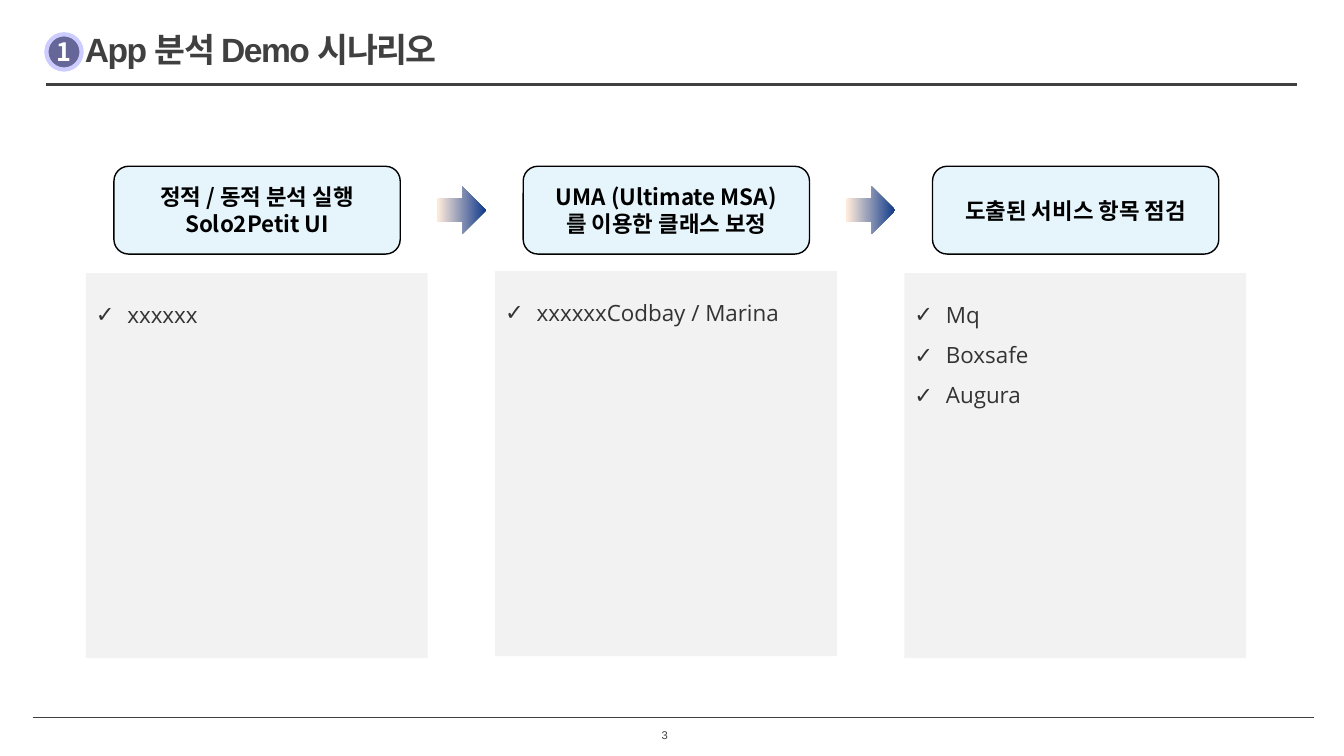
from dataclasses import dataclass

from lxml import etree
from pptx import Presentation
from pptx.dml import color
from pptx.enum import shapes, text
from pptx.oxml import ns
from pptx.util import Pt


@dataclass(frozen=True)
class Theme:
    ink: str = "404040"
    black: str = "000000"
    white: str = "FFFFFF"
    item: str = "333333"
    head: str = "E6F5FC"
    panel: str = "F2F2F2"
    badge: str = "666699"
    ring: str = "CCCCFF"
    fade: tuple = ((0.03, "FDEADA"), (0.98, "153D8D"))
    latin: str = "Arial"
    hangul: str = "Noto Sans CJK KR"
    bold: str = "Noto Sans CJK JP"
    plain: str = "Open Sans"
    title: int = 24
    mark: int = 18
    body: int = 16
    small: int = 8


T = Theme()
KIND = shapes.MSO_SHAPE
ALIGN = text.PP_ALIGN
ANCHOR = text.MSO_ANCHOR

# Each step: heading lines, panel top, list items
STEPS = [
    (["정적 / 동적 분석 실행", "Solo2Petit UI"], 195.1, ["xxxxxx"]),
    (["UMA (Ultimate MSA)", "를 이용한 클래스 보정"], 193.7, ["xxxxxxCodbay / Marina"]),
    (["도출된 서비스 항목 점검"], 195.1, ["Mq", "Boxsafe", "Augura"]),
]
PITCH = 292.35


def rgb(code):
    return color.RGBColor.from_string(code)


def place(shape, left, top, width, height):
    shape.left, shape.top = Pt(left), Pt(top)
    shape.width, shape.height = Pt(width), Pt(height)


def write(shape, lines, size, ink, face, asian=None, bold=False, align=ALIGN.CENTER,
          anchor=ANCHOR.MIDDLE, inset=(0, 0, 0, 0), wrap=True, after=0, lead=1,
          track=0, bullet=None):
    """Fill a shape with one paragraph per line."""
    frame = shape.text_frame
    frame.text = "\n".join(lines)
    frame.auto_size = text.MSO_AUTO_SIZE.NONE
    frame.word_wrap = wrap
    frame.vertical_anchor = anchor
    frame.margin_left, frame.margin_top, frame.margin_right, frame.margin_bottom = map(Pt, inset)
    for para in frame.paragraphs:
        para.alignment = align
        para.space_before, para.space_after = Pt(0), Pt(after)
        para.line_spacing = lead
        if bullet:
            props = para._p.get_or_add_pPr()
            props.set("marL", str(Pt(22.5)))
            props.set("indent", str(Pt(-22.5)))
            etree.SubElement(props, ns.qn("a:buFont"), typeface=face)
            etree.SubElement(props, ns.qn("a:buChar"), char=bullet)
        for run in para.runs:
            font = run.font
            font.name, font.size, font.bold = face, Pt(size), bold
            font.color.rgb = rgb(ink)
            props = run._r.get_or_add_rPr()
            etree.SubElement(props, ns.qn("a:ea"), typeface=asian or face)
            if track:
                props.set("spc", str(round(track * 100)))


def shape(slide, kind, box, fill=None, line=None, weight=1):
    item = slide.shapes.add_shape(kind, *map(Pt, box))
    item.shadow.inherit = False
    if fill:
        item.fill.solid()
        item.fill.fore_color.rgb = rgb(fill)
    if line:
        item.line.color.rgb = rgb(line)
        item.line.width = Pt(weight)
    else:
        item.line.fill.background()
    return item


def rule(slide, left, right, top, weight):
    line = slide.shapes.add_connector(
        shapes.MSO_CONNECTOR.STRAIGHT, Pt(left), Pt(top), Pt(right), Pt(top))
    line.line.color.rgb = rgb(T.ink)
    line.line.width = Pt(weight)
    etree.SubElement(line._element.spPr, ns.qn("a:effectLst"))


def arrow(slide, left):
    item = shape(slide, KIND.RIGHT_ARROW, (left, 133.2, 35.3, 33.8))
    item.fill.gradient()
    item.fill.gradient_angle = 0
    for stop, (spot, code) in zip(item.fill.gradient_stops, T.fade):
        stop.position = spot
        stop.color.rgb = rgb(code)


def header(slide, left, lines):
    box = shape(slide, KIND.ROUNDED_RECTANGLE, (left, 118.8, 204.5, 62.7), T.head, T.black)
    write(box, lines, T.body, T.black, T.bold, bold=True, wrap=False)


def panel(holder, left, top, items):
    place(holder, left, top, 244.1, 275)
    holder.fill.solid()
    holder.fill.fore_color.rgb = rgb(T.panel)
    write(holder, items, T.body, T.item, T.plain, align=ALIGN.LEFT, anchor=ANCHOR.TOP,
          inset=(7.2, 22.3, 7.2, 3.6), after=12, lead=0.87, bullet="✓")


def main():
    deck = Presentation()
    deck.slide_width, deck.slide_height = Pt(960), Pt(540)
    slide = deck.slides.add_slide(deck.slide_layouts.get_by_name("Comparison"))
    title, *holders = slide.placeholders

    # Title, badge and rules
    place(title, 33.1, 20.9, 653, 28.8)
    write(title, ["App 분석 Demo 시나리오"], T.title, T.ink, T.latin, T.hangul, bold=True,
          align=ALIGN.LEFT, anchor=ANCHOR.TOP, inset=(27.5, 0, 0, 0), track=-1.1)
    badge = shape(slide, KIND.OVAL, (33.1, 24.5, 25.2, 25.2), T.badge, T.ring, 3)
    write(badge, ["1"], T.mark, T.white, T.hangul, bold=True, wrap=False)
    rule(slide, 33.1, 926.6, 60.5, 2)
    rule(slide, 23.4, 938.3, 512.5, 0.5)

    # Steps, joined by arrows
    for step, (lines, top, items) in enumerate(STEPS):
        shift = step * PITCH
        header(slide, 81.4 + shift, lines)
        panel(holders[step], 61.3 + shift, top, items)
        if step:
            arrow(slide, 311.8 + shift - PITCH)
    for spare in holders[len(STEPS):]:
        spare._element.getparent().remove(spare._element)

    # Page number
    page = slide.shapes.add_textbox(*map(Pt, (457.5, 520.6, 34.6, 9.4)))
    write(page, ["3"], T.small, T.ink, T.latin)

    deck.save("out.pptx")


if __name__ == "__main__":
    main()
